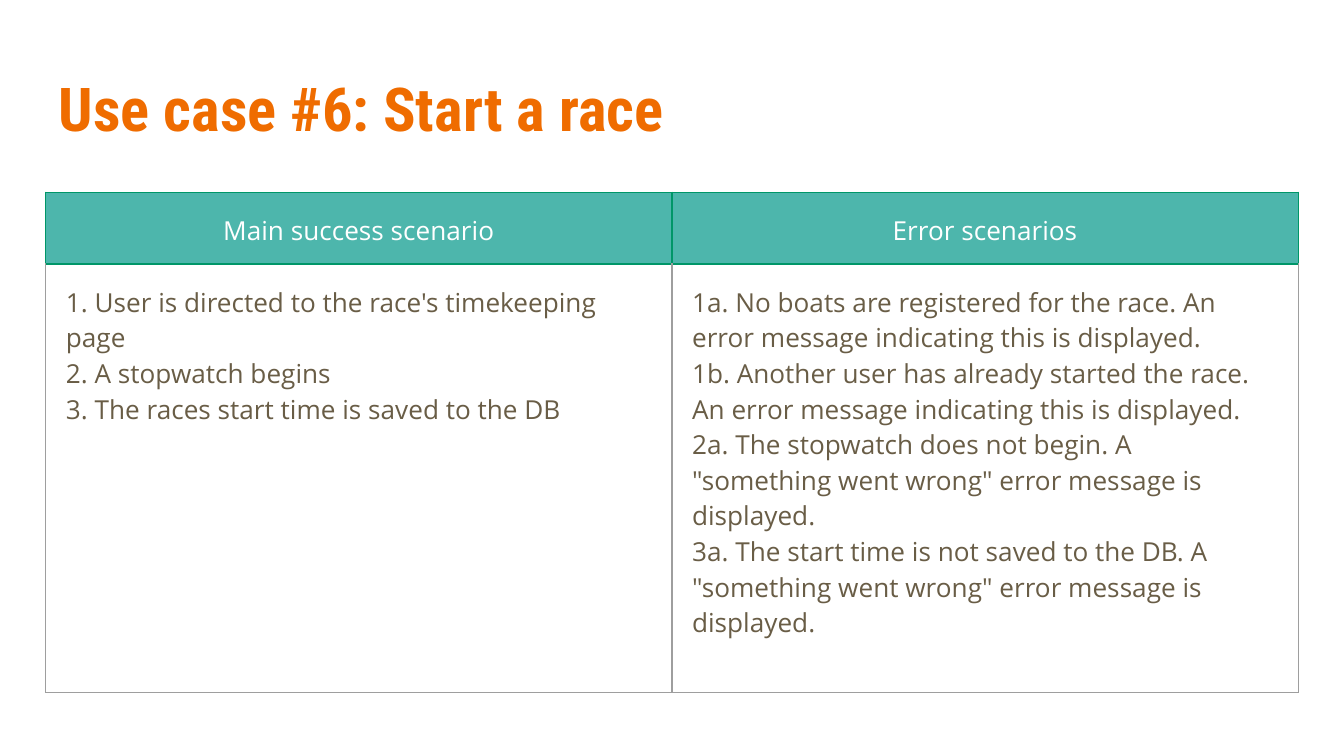
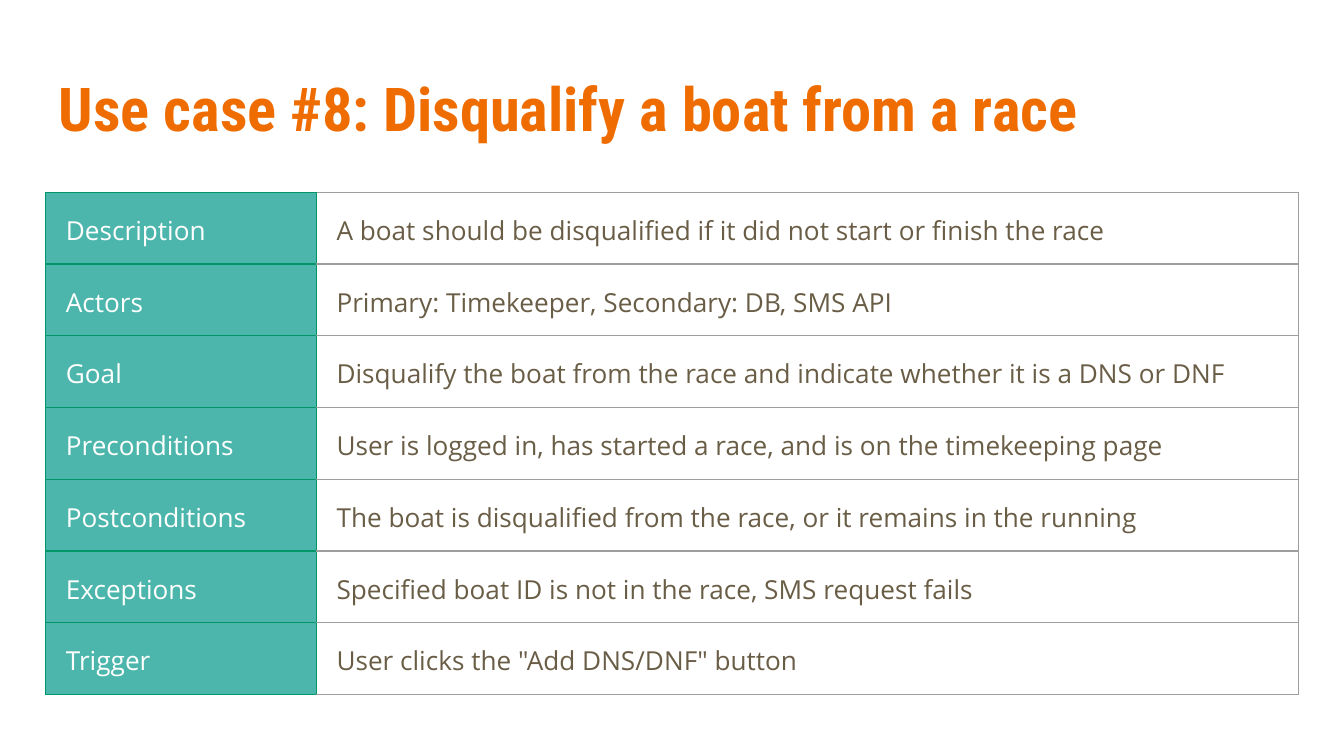
from lxml import etree
from pptx import Presentation
from pptx.dml.color import RGBColor
from pptx.enum.text import MSO_ANCHOR, PP_ALIGN
from pptx.oxml.ns import qn
from pptx.util import Pt

BOTTOM, TOP = MSO_ANCHOR.BOTTOM, MSO_ANCHOR.TOP
LEFT, CENTER = PP_ALIGN.LEFT, PP_ALIGN.CENTER

COLORS = {
    "title": "EF6C00",
    "header": "4DB6AC",
    "header_line": "009668",
    "header_text": "FFFFFF",
    "line": "9E9E9E",
    "text": "695D46",
}
TITLE_FONT, BODY_FONT = "Roboto Condensed", "Open Sans"
TITLE_BOX = (24.5, 28.8, 671, 55.4)
TABLE_POS = (24.5, 103)
BORDER_WIDTH = 0.75

SCENARIOS = [
    ["Main success scenario", "Error scenarios"],
    [
        "1. User is directed to the race's timekeeping page\n"
        "2. A stopwatch begins\n"
        "3. The races start time is saved to the DB",
        "1a. No boats are registered for the race. An error message indicating this is displayed.\n"
        "1b. Another user has already started the race. An error message indicating this is displayed.\n"
        '2a. The stopwatch does not begin. A "something went wrong" error message is displayed.\n'
        '3a. The start time is not saved to the DB. A "something went wrong" error message is displayed.',
    ],
]
DETAILS = [
    ["Description", "A boat should be disqualified if it did not start or finish the race"],
    ["Actors", "Primary: Timekeeper, Secondary: DB, SMS API"],
    ["Goal", "Disqualify the boat from the race and indicate whether it is a DNS or DNF"],
    ["Preconditions", "User is logged in, has started a race, and is on the timekeeping page"],
    ["Postconditions", "The boat is disqualified from the race, or it remains in the running"],
    ["Exceptions", "Specified boat ID is not in the race, SMS request fails"],
    ["Trigger", 'User clicks the "Add DNS/DNF" button'],
]


def rgb(name):
    return RGBColor.from_string(COLORS[name])


def set_margins(box, margin):
    box.margin_left = box.margin_right = Pt(margin)
    box.margin_top = box.margin_bottom = Pt(margin)


def style_text(tf, font, size, color, bold=False, align=LEFT):
    for p in tf.paragraphs:
        p.alignment = align
        for r in p.runs:
            r.font.name = font
            r.font.size = Pt(size)
            r.font.bold = bold
            r.font.color.rgb = rgb(color)


def set_borders(cell, sides):
    """Draw the cell borders; sides maps L, R, T and B to colour names."""
    tc_pr = cell._tc.get_or_add_tcPr()
    for side in "LRTB":
        ln = etree.SubElement(tc_pr, qn(f"a:ln{side}"), w=str(Pt(BORDER_WIDTH)))
        fill = etree.SubElement(ln, qn("a:solidFill"))
        etree.SubElement(fill, qn("a:srgbClr"), val=COLORS[sides[side]])


def add_title(s, box, text):
    sp = s.shapes.add_textbox(*map(Pt, box))
    tf = sp.text_frame
    tf.word_wrap = True
    tf.vertical_anchor = BOTTOM
    set_margins(tf, 7.2)
    tf.text = text
    style_text(tf, TITLE_FONT, 32.4, "title", bold=True)


def add_table(s, pos, rows, widths, heights, header_side, header_align):
    """Add a table whose header is its top row ("T") or its left column ("L")."""
    size = (sum(widths), sum(heights))
    frame = s.shapes.add_table(len(rows), len(widths), *map(Pt, pos + size))
    table = frame.table
    table.first_row = table.horz_banding = False
    for column, width in zip(table.columns, widths):
        column.width = Pt(width)
    for row, height in zip(table.rows, heights):
        row.height = Pt(height)

    for i, row in enumerate(rows):
        for j, text in enumerate(row):
            cell = table.cell(i, j)
            is_header = (i if header_side == "T" else j) == 0
            sides = dict.fromkeys("LRTB", "header_line" if is_header else "line")
            sides[header_side] = "header_line"
            set_borders(cell, sides)
            if is_header:
                cell.fill.solid()
                cell.fill.fore_color.rgb = rgb("header")
            else:
                cell.fill.background()
            set_margins(cell, 10.8)
            cell.vertical_anchor = TOP
            cell.text_frame.text = text
            style_text(cell.text_frame, BODY_FONT, 14,
                       "header_text" if is_header else "text",
                       align=header_align if is_header else LEFT)


def add_use_case(prs, title, **table):
    s = prs.slides.add_slide(prs.slide_layouts[6])
    add_title(s, TITLE_BOX, title)
    add_table(s, TABLE_POS, **table)


def main():
    prs = Presentation()
    prs.slide_width, prs.slide_height = Pt(720), Pt(405)
    add_use_case(prs, "Use case #6: Start a race", rows=SCENARIOS,
                 widths=[335.5] * 2, heights=[28.8, 229.7],
                 header_side="T", header_align=CENTER)
    add_use_case(prs, "Use case #8: Disqualify a boat from a race", rows=DETAILS,
                 widths=[145, 526], heights=[30.2] * len(DETAILS),
                 header_side="L", header_align=LEFT)
    prs.save("out.pptx")


if __name__ == "__main__":
    main()
